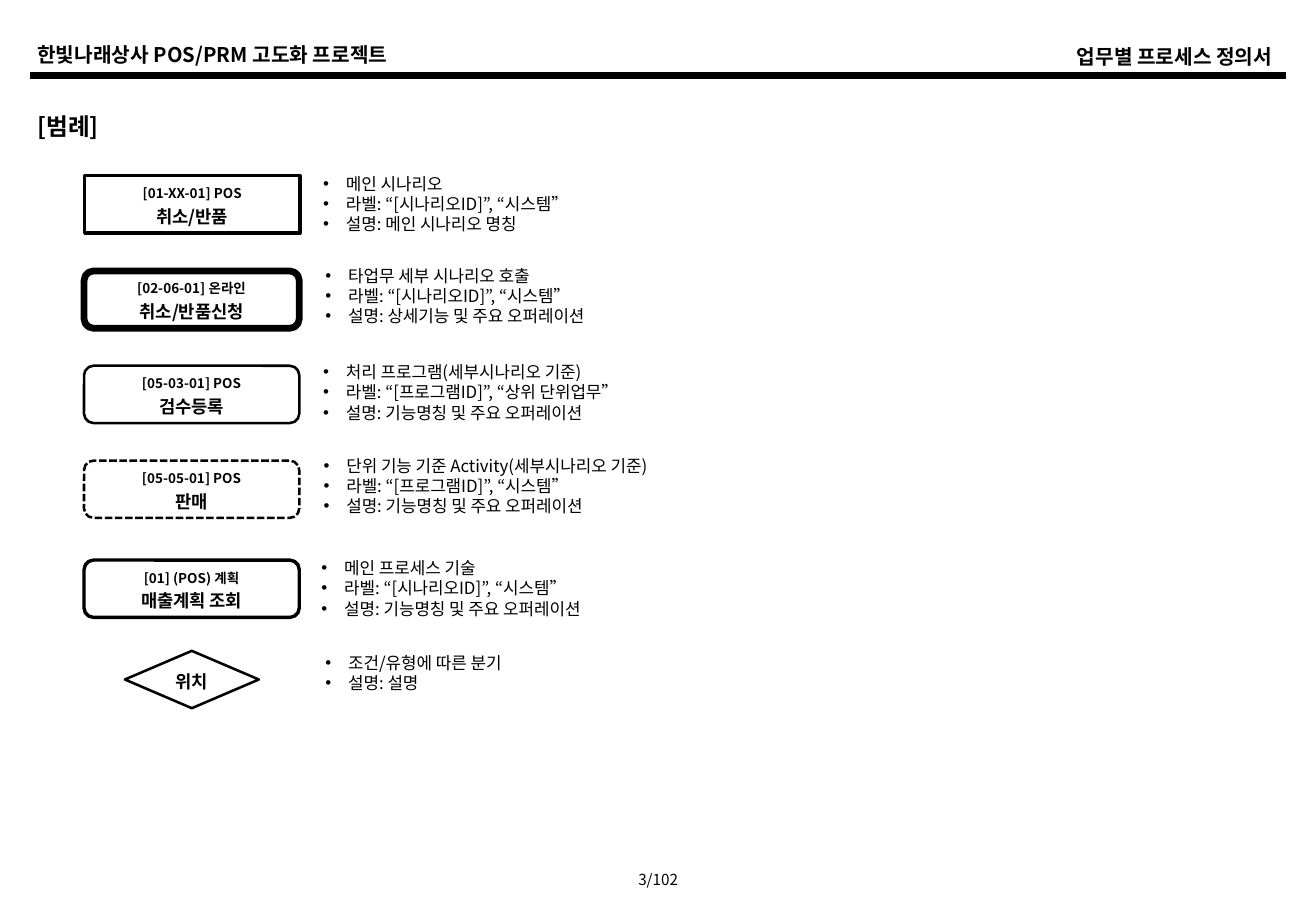
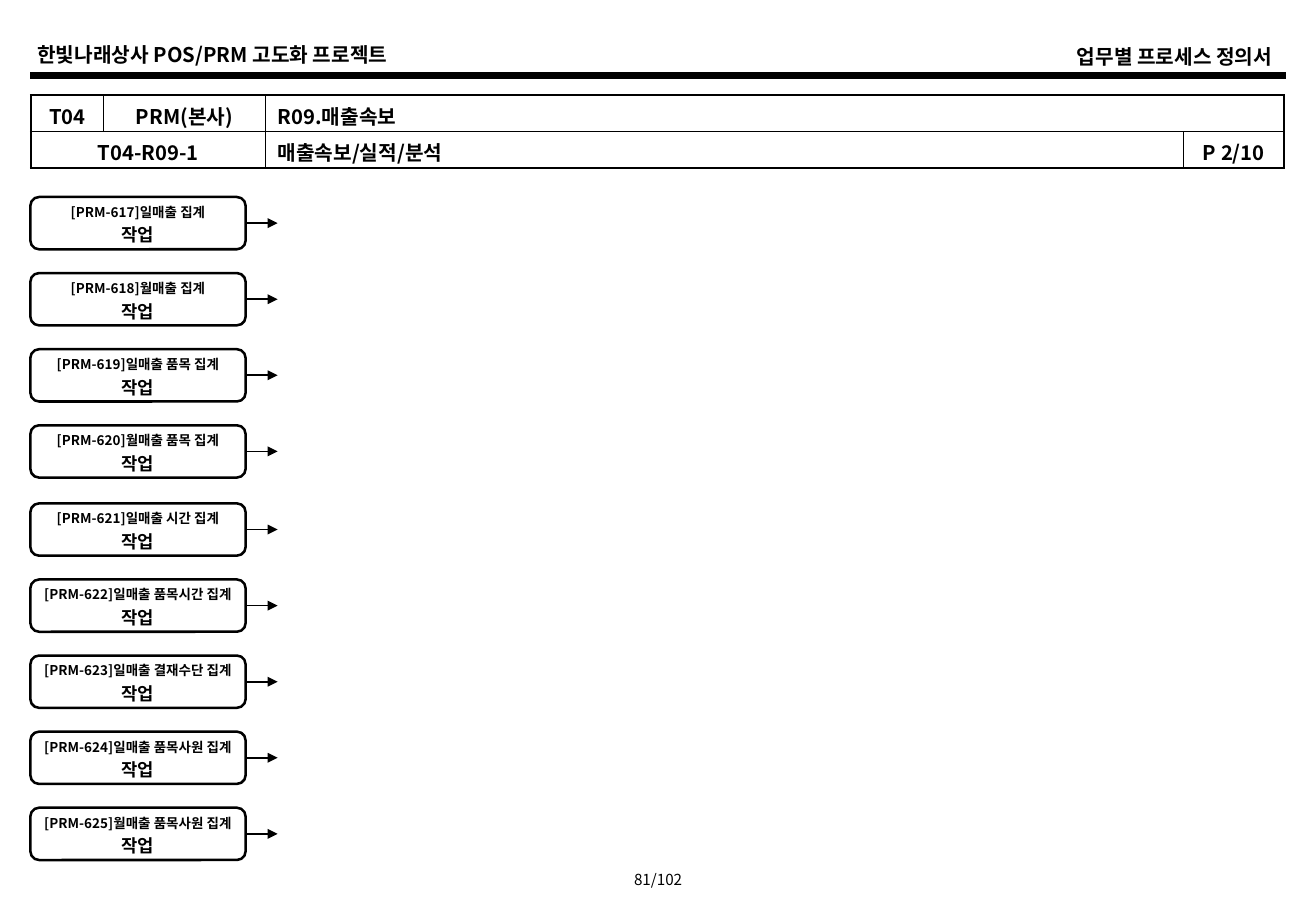
from dataclasses import dataclass
from lxml.etree import SubElement
from pptx import Presentation
from pptx.dml.color import RGBColor
from pptx.enum.dml import MSO_LINE as Dash
from pptx.enum.shapes import MSO_CONNECTOR as Connector, MSO_SHAPE as Shape
from pptx.enum.text import MSO_ANCHOR as Anchor, MSO_AUTO_SIZE as AutoSize, PP_ALIGN as Align
from pptx.oxml.ns import qn
from pptx.util import Pt


@dataclass(frozen=True)
class Theme:
    font: str = "Noto Sans CJK KR"
    ink: RGBColor = RGBColor(0, 0, 0)
    paper: RGBColor = RGBColor(255, 255, 255)
    title: float = 14
    heading: float = 12
    name: float = 10.5
    body: float = 10
    page: float = 9
    label: float = 8
    rule: float = 4.5
    frame: float = 1.5
    grid: float = 0.75
    arrow: float = 1


THEME = Theme()
WIDTH, HEIGHT = 780, 540
MARGIN = 18


def add_span(para, text, size, bold=False):
    span = para.add_run()
    span.text = text
    span.font.name = THEME.font
    span.font.size = Pt(size)
    span.font.bold = bold
    span.font.color.rgb = THEME.ink
    SubElement(span.font._element, qn("a:ea"), typeface=THEME.font)


def next_para(frame, index):
    return frame.paragraphs[0] if index == 0 else frame.add_paragraph()


def set_bullet(para, indent):
    props = para._p.get_or_add_pPr()
    props.set("marL", str(Pt(indent)))
    props.set("indent", str(Pt(-indent)))
    SubElement(props, qn("a:buFont"), typeface="Arial")
    SubElement(props, qn("a:buChar"), char="•")


def add_text(page, area, lines, size, bold=False, align=Align.LEFT, spacing=None,
             bullet=0, grow=True):
    box = page.shapes.add_textbox(*map(Pt, area))
    frame = box.text_frame
    frame.word_wrap = True
    frame.auto_size = AutoSize.SHAPE_TO_FIT_TEXT if grow else AutoSize.NONE
    for index, text in enumerate(lines):
        para = next_para(frame, index)
        para.alignment = align
        if spacing:
            para.line_spacing = spacing
        if bullet:
            set_bullet(para, bullet)
        add_span(para, text, size, bold)


def add_line(page, kind, start, end, weight):
    line = page.shapes.add_connector(kind, *map(Pt, start + end))
    line.line.color.rgb = THEME.ink
    line.line.width = Pt(weight)
    SubElement(line._element.spPr, qn("a:effectLst"))
    return line


def add_node(page, area, kind, lines, weight, dash=None, inset=3, filled=True):
    node = page.shapes.add_shape(kind, *map(Pt, area))
    node.shadow.inherit = False
    if filled:
        node.fill.solid()
        node.fill.fore_color.rgb = THEME.paper
    else:
        node.fill.background()
    node.line.color.rgb = THEME.ink
    node.line.width = Pt(weight)
    if dash:
        node.line.dash_style = dash
    frame = node.text_frame
    frame.word_wrap = True
    frame.vertical_anchor = Anchor.MIDDLE
    frame.margin_left = frame.margin_right = Pt(inset)
    frame.margin_top = frame.margin_bottom = Pt(inset)
    for index, (text, size) in enumerate(lines):
        para = next_para(frame, index)
        para.alignment = Align.CENTER
        para.line_spacing = 1.2
        add_span(para, text, size, True)
    return node


def add_page(deck, number):
    page = deck.slides.add_slide(deck.slide_layouts[6])
    page.background.fill.solid()
    page.background.fill.fore_color.rgb = THEME.paper
    add_text(page, (356.6, 512.6, 67, 18), [number], THEME.page, align=Align.CENTER)
    add_text(page, (15.1, 21.6, 299, 21.6), ["한빛나래상사 POS/PRM 고도화 프로젝트"],
             THEME.heading, True)
    add_line(page, Connector.STRAIGHT, (MARGIN, 44.7), (WIDTH - MARGIN, 44.7), THEME.rule)
    add_text(page, (462.2, 22.6, 299, 21.6), ["업무별 프로세스 정의서"],
             THEME.heading, True, Align.RIGHT)
    return page


def add_legend_row(page, area, note_at, kind, label, name, weight, notes, dash=None):
    lines = [(label, THEME.label), (name, THEME.name)] if label else [(name, THEME.name)]
    filled = kind != Shape.FLOWCHART_DECISION
    add_node(page, area, kind, lines, weight, dash, 3 if filled else 0, filled)
    note_height = 7.2 + 12.2 * len(notes)
    add_text(page, (*note_at, 390, note_height), notes, THEME.body, bullet=13.5)


def set_borders(cell, widths):
    props = cell._tc.get_or_add_tcPr()
    for tag, width in zip(("a:lnL", "a:lnR", "a:lnT", "a:lnB"), widths):
        border = SubElement(props, qn(tag), w=str(Pt(width)))
        fill = SubElement(border, qn("a:solidFill"))
        SubElement(fill, qn("a:srgbClr"), val=str(THEME.ink))
    cell.fill.background()


def add_process_table(page, area, columns, rows):
    table = page.shapes.add_table(len(rows), len(columns), *map(Pt, area)).table
    table.first_row = table.horz_banding = False
    for column, width in zip(table.columns, columns):
        column.width = Pt(width)
    for row in table.rows:
        row.height = Pt(area[3] / len(rows))
    for row, entries in enumerate(rows):
        first = 0
        for text, reach, align in entries:
            last = first + reach - 1
            at_edge = (first == 0, last == len(columns) - 1, row == 0, row == len(rows) - 1)
            widths = [THEME.frame if edge else THEME.grid for edge in at_edge]
            for column in range(first, last + 1):
                set_borders(table.cell(row, column), widths)
            cell = table.cell(row, first)
            if reach > 1:
                cell.merge(table.cell(row, last))
            cell.vertical_anchor = Anchor.TOP
            cell.margin_top, cell.margin_bottom = Pt(3.3), Pt(0.5)
            para = cell.text_frame.paragraphs[0]
            para.alignment = align
            add_span(para, text, THEME.heading, True)
            first = last + 1


def add_task(page, area, label):
    left, top, width, height = area
    node = add_node(page, area, Shape.ROUNDED_RECTANGLE,
                    [(label, THEME.label), ("작업", THEME.name)], THEME.frame)
    middle = top + height / 2
    right = left + width
    arrow = add_line(page, Connector.ELBOW, (right, middle), (right + 19, middle), THEME.arrow)
    arrow.begin_connect(node, 3)
    SubElement(arrow.line._get_or_add_ln(), qn("a:tailEnd"), type="triangle")


def build_legend(deck):
    page = add_page(deck, "3/102")
    add_text(page, (15.1, 56.2, 743, 32.4), ["[범례]"], THEME.title, True, spacing=1.4, grow=False)
    scenario = "라벨: “[시나리오ID]”, “시스템”"
    operation = "기능명칭 및 주요 오퍼레이션"
    rounded = Shape.ROUNDED_RECTANGLE
    rows = [
        ((50.2, 104.2), (184.5, 99.3), Shape.RECTANGLE, "[01-XX-01] POS", "취소/반품", 2,
         ["메인 시나리오", scenario, "설명: 메인 시나리오 명칭"], None),
        ((49.8, 160.6), (185.8, 153.6), rounded, "[02-06-01] 온라인", "취소/반품신청", 4,
         ["타업무 세부 시나리오 호출", scenario, "설명: 상세기능 및 주요 오퍼레이션"], None),
        ((49.8, 216.8), (184.5, 210.9), rounded, "[05-03-01] POS", "검수등록", 1.5,
         ["처리 프로그램(세부시나리오 기준)", "라벨: “[프로그램ID]”, “상위 단위업무”",
          f"설명: {operation}"], None),
        ((49.8, 273), (184.7, 266.4), rounded, "[05-05-01] POS", "판매", 1.5,
         ["단위 기능 기준 Activity(세부시나리오 기준)", "라벨: “[프로그램ID]”, “시스템”",
          f"설명: {operation}"], Dash.SQUARE_DOT),
        ((49.8, 332), (183.5, 327), rounded, "[01] (POS) 계획", "매출계획 조회", 2,
         ["메인 프로세스 기술", scenario, f"설명: {operation}"], None),
        ((74, 385.8), (185.8, 383.2), Shape.FLOWCHART_DECISION, None, "위치", 1.5,
         ["조건/유형에 따른 분기", "설명: 설명"], None),
    ]
    for corner, note_at, kind, label, name, weight, notes, dash in rows:
        width = 127.6 if label else 79.4
        add_legend_row(page, (*corner, width, 34), note_at, kind, label, name, weight, notes, dash)


def build_process(deck):
    page = add_page(deck, "81/102")
    add_process_table(page, (18.4, 56.5, 742.8, 43.2), (43, 96, 544.2, 59.6), [
        [("T04", 1, Align.CENTER), ("PRM(본사)", 1, Align.CENTER), ("R09.매출속보", 2, Align.LEFT)],
        [("T04-R09-1", 2, Align.CENTER), ("매출속보/실적/분석", 1, Align.LEFT),
         ("P 2/10", 1, Align.CENTER)],
    ])
    tasks = ["일매출", "월매출", "일매출 품목", "월매출 품목", "일매출 시간", "일매출 품목시간",
             "일매출 결재수단", "일매출 품목사원", "월매출 품목사원"]
    first_group = 4
    for index, task in enumerate(tasks):
        group_gap = 1.2 if index >= first_group else 0
        top = 116.8 + 45.1 * index + group_gap
        add_task(page, (MARGIN, top, 127.6, 31), f"[PRM-{617 + index}]{task} 집계")


deck = Presentation()
deck.slide_width, deck.slide_height = Pt(WIDTH), Pt(HEIGHT)
build_legend(deck)
build_process(deck)
deck.save("out.pptx")
